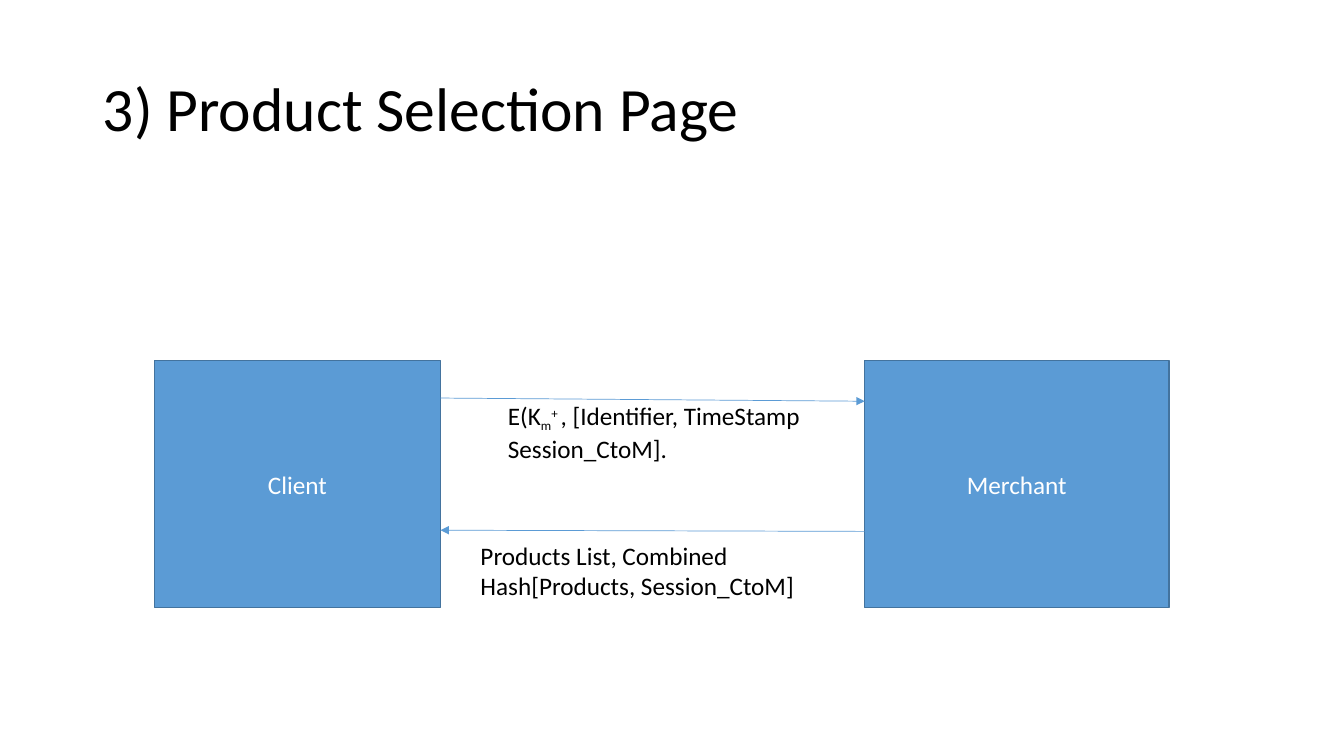
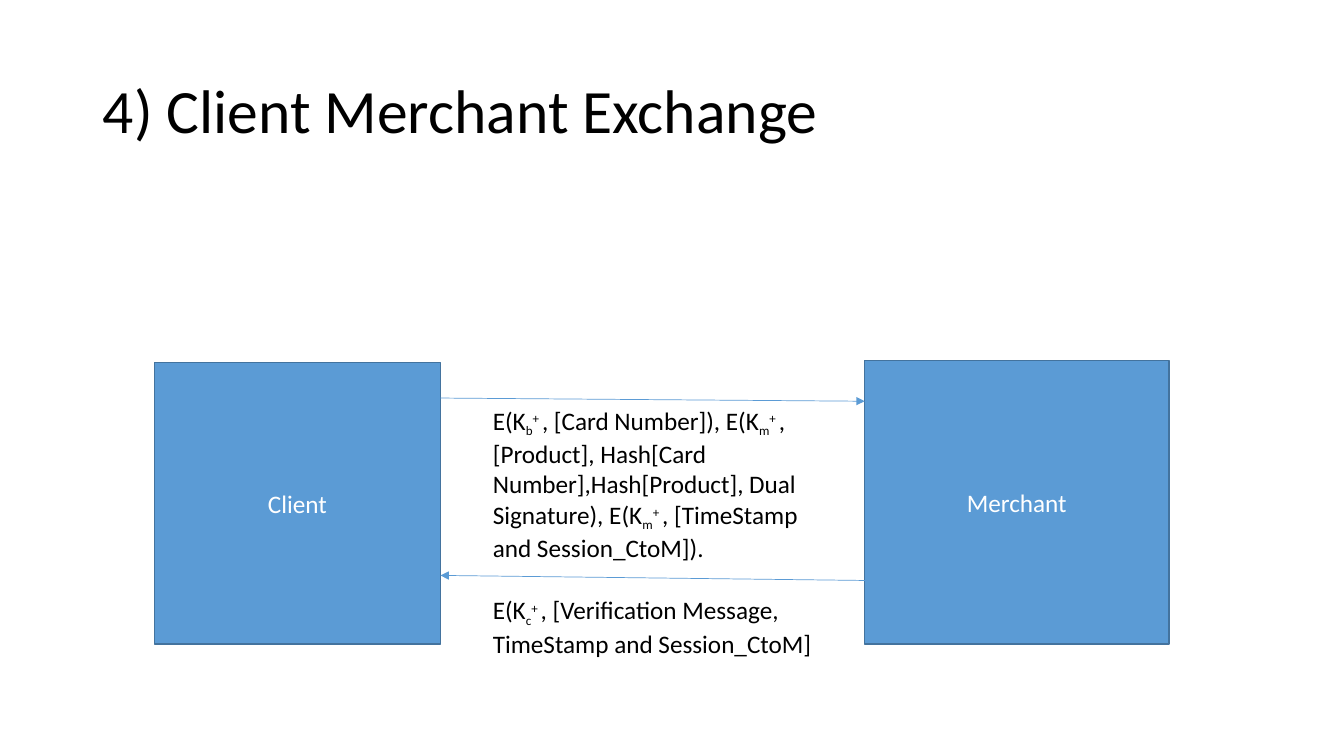
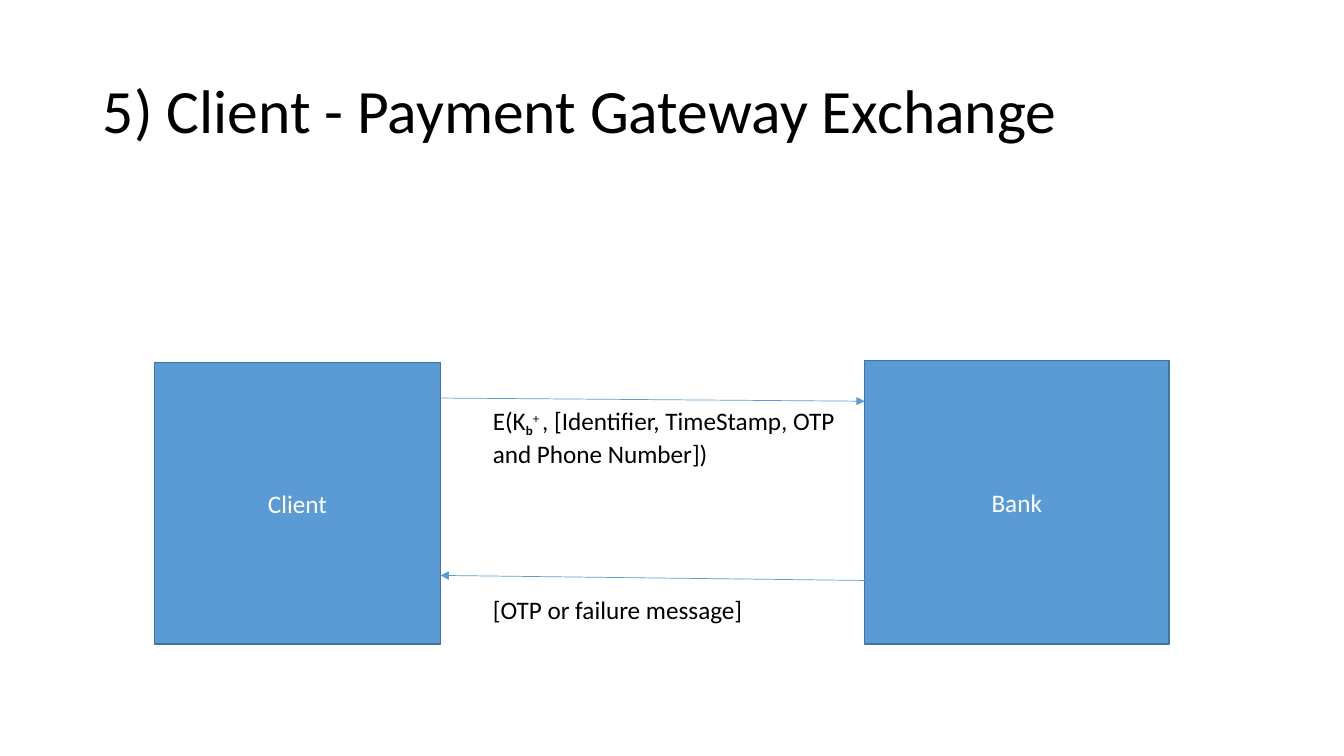
from lxml.etree import SubElement
from pptx import Presentation
from pptx.dml.color import RGBColor
from pptx.enum.shapes import MSO_CONNECTOR, MSO_SHAPE
from pptx.enum.text import MSO_ANCHOR, MSO_AUTO_SIZE, PP_ALIGN
from pptx.oxml.ns import qn
from pptx.util import Cm, Pt


def colour(hex_value):
    return RGBColor.from_string(hex_value)


def apply(target, values):
    for attribute, value in values.items():
        setattr(target, attribute, value)


def encrypted(owner, content, owner_style="subscript"):
    return [("E(K", "plain"), (owner, owner_style), ("+ ", "superscript"),
            (", " + content, "plain")]


class ExchangeDeck:
    FONT = "Calibri"
    BLACK, WHITE = "000000", "FFFFFF"
    BLUE, OUTLINE = "5B9BD5", "43739E"
    RUN_STYLES = {
        "plain": ({"size": Pt(18)}, None),
        "subscript": ({"size": Pt(16)}, "-25000"),
        "bold_subscript": ({"size": Pt(16), "bold": True}, "-25000"),
        "superscript": ({"size": Pt(16)}, "30000"),
        "title": ({"size": Pt(44)}, None),
    }
    TITLE_FRAME = {"vertical_anchor": MSO_ANCHOR.MIDDLE, "word_wrap": True,
                   "auto_size": MSO_AUTO_SIZE.NONE}
    TITLE_PARAGRAPH = {"alignment": PP_ALIGN.LEFT, "line_spacing": 0.9}
    PARTY_FRAME = {"vertical_anchor": MSO_ANCHOR.MIDDLE, "word_wrap": True}
    PARTY_PARAGRAPH = {"alignment": PP_ALIGN.CENTER}
    MESSAGE_FRAME = {"word_wrap": True, "auto_size": MSO_AUTO_SIZE.SHAPE_TO_FIT_TEXT}

    def __init__(self):
        self.deck = Presentation()
        apply(self.deck, {"slide_width": Cm(33.87), "slide_height": Cm(19.05)})
        self.slide = None

    def fill_text(self, frame, runs, ink, frame_format, paragraph_format):
        apply(frame, frame_format)
        paragraph = frame.paragraphs[0]
        apply(paragraph, paragraph_format)
        for words, style in runs:
            font_format, baseline = self.RUN_STYLES[style]
            run = paragraph.add_run()
            run.text = words
            apply(run.font, {"name": self.FONT, **font_format})
            run.font.color.rgb = colour(ink)
            if baseline:
                run._r.get_or_add_rPr().set("baseline", baseline)

    def start_slide(self, heading, top):
        self.slide = self.deck.slides.add_slide(self.deck.slide_layouts[5])
        title = self.slide.shapes.title
        apply(title, {"left": Cm(2.34), "top": Cm(top),
                      "width": Cm(29.21), "height": Cm(3.68)})
        self.fill_text(title.text_frame, [(heading, "title")], self.BLACK,
                       self.TITLE_FRAME, self.TITLE_PARAGRAPH)

    def party(self, name, left, top, width, bottom):
        box = self.slide.shapes.add_shape(
            MSO_SHAPE.RECTANGLE, Cm(left), Cm(top), Cm(width), Cm(bottom - top))
        box.shadow.inherit = False
        box.fill.solid()
        box.fill.fore_color.rgb = colour(self.BLUE)
        box.line.color.rgb = colour(self.OUTLINE)
        box.line.width = Pt(1)
        self.fill_text(box.text_frame, [(name, "plain")], self.WHITE,
                       self.PARTY_FRAME, self.PARTY_PARAGRAPH)

    def arrow(self, start, end):
        arrow = self.slide.shapes.add_connector(
            MSO_CONNECTOR.STRAIGHT, *(Cm(length) for length in start + end))
        arrow.line.color.rgb = colour(self.BLUE)
        arrow.line.width = Pt(0.5)
        properties = arrow._element.spPr
        SubElement(properties.get_or_add_ln(), qn("a:tailEnd"), type="triangle")
        SubElement(properties, qn("a:effectLst"))

    def message(self, runs, left, top, width, height):
        note = self.slide.shapes.add_textbox(Cm(left), Cm(top), Cm(width), Cm(height))
        self.fill_text(note.text_frame, runs, self.BLACK, self.MESSAGE_FRAME, {})

    def exchange(self, heading, server, request, reply, layout):
        self.start_slide(heading, layout["title_top"])
        self.party("Client", 3.89, layout["client_top"], 7.21, layout["bottom"])
        self.party(server, 21.79, 9.09, 7.67, layout["bottom"])
        self.arrow((11.1, 10.03), (21.79, 10.11))
        self.arrow(*layout["reply_arrow"])
        for (runs, height), place in zip((request, reply), layout["messages"]):
            self.message(runs, *place, layout["message_width"], height)

    def save(self):
        self.deck.save("out.pptx")


SHORT = {"title_top": 0.97, "client_top": 9.09, "bottom": 15.31,
         "reply_arrow": ((21.79, 13.39), (11.1, 13.36)),
         "messages": ((12.55, 9.96), (11.86, 13.49)), "message_width": 8.46}
TALL = {"title_top": 1.02, "client_top": 9.14, "bottom": 16.23,
        "reply_arrow": ((22.07, 14.63), (11.1, 14.5)),
        "messages": ((12.17, 10.08), (12.17, 14.86)), "message_width": 9.12}
ONE_LINE, TWO_LINES, FIVE_LINES = 1.02, 1.8, 4.11


def main():
    deck = ExchangeDeck()
    deck.exchange(
        "3) Product Selection Page", "Merchant",
        (encrypted("m", "[Identifier, TimeStamp Session_CtoM]."), TWO_LINES),
        ([("Products List, Combined Hash[Products, Session_CtoM]", "plain")], TWO_LINES),
        SHORT)
    order = (encrypted("b", "[Card Number]), ")
             + encrypted("m", "[Product], Hash[Card Number],Hash[Product], Dual Signature), ")
             + encrypted("m", "[TimeStamp and Session_CtoM])."))
    deck.exchange(
        "4) Client Merchant Exchange", "Merchant",
        (order, FIVE_LINES),
        (encrypted("c", "[Verification Message, TimeStamp and Session_CtoM]"), TWO_LINES),
        TALL)
    deck.exchange(
        "5) Client - Payment Gateway Exchange", "Bank",
        (encrypted("b", "[Identifier, TimeStamp, OTP and Phone Number])", "bold_subscript"),
         TWO_LINES),
        ([("[OTP or failure message]", "plain")], ONE_LINE),
        TALL)
    deck.save()


if __name__ == "__main__":
    main()
